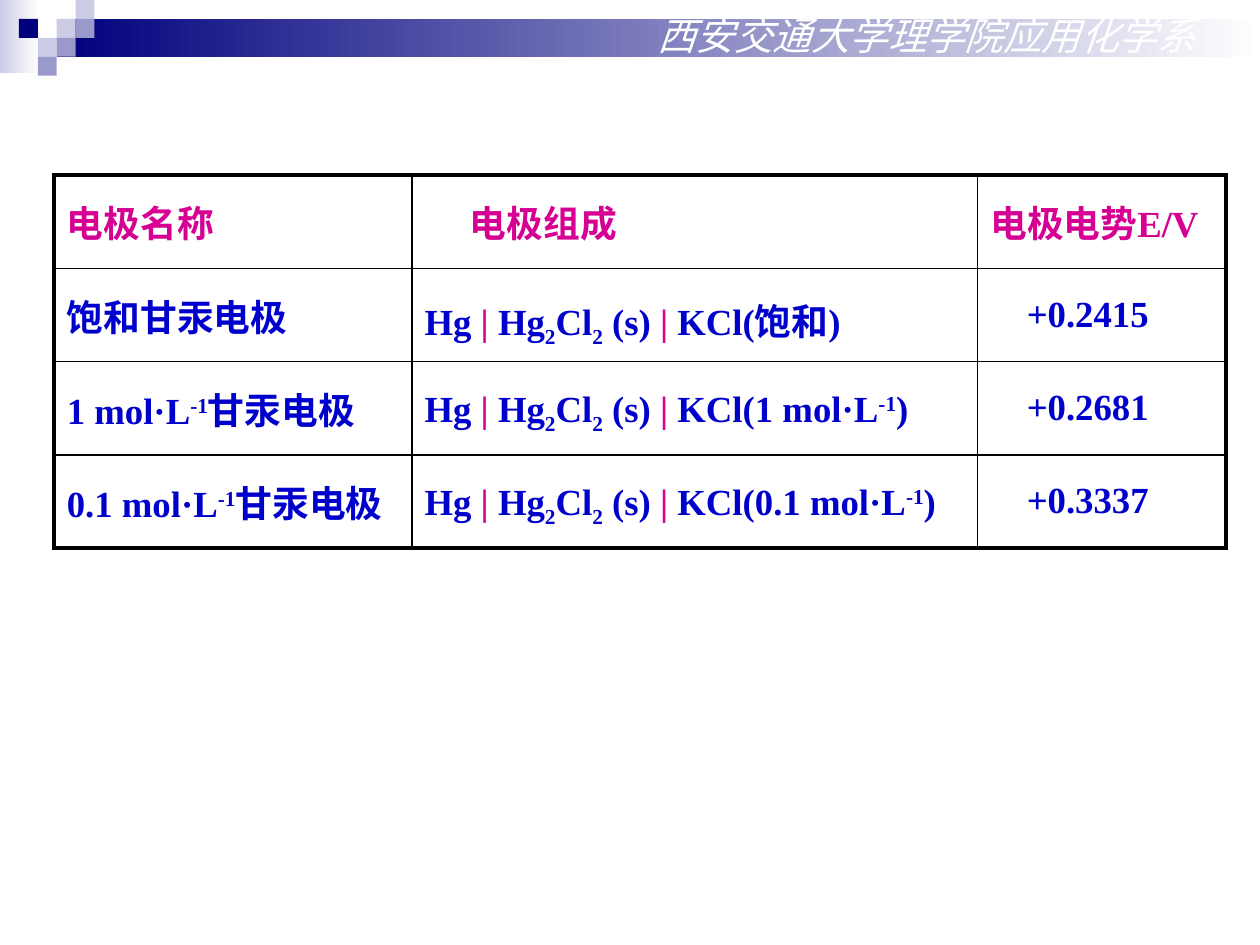
from dataclasses import dataclass
from lxml import etree
from pptx import Presentation
from pptx.dml.color import RGBColor
from pptx.enum.shapes import MSO_SHAPE
from pptx.enum.text import MSO_ANCHOR
from pptx.oxml.ns import qn
from pptx.util import Inches, Pt

RECT = MSO_SHAPE.RECTANGLE
MIDDLE = MSO_ANCHOR.MIDDLE


@dataclass(frozen=True)
class Theme:
    """Colours, fonts and type sizes of the slide."""
    navy: str = "00007D"
    mid: str = "9999CC"
    pale: str = "CCCCE6"
    white: str = "FFFFFF"
    black: str = "000000"
    pink: str = "D60093"
    blue: str = "0000CC"
    serif: str = "Times New Roman"
    sans: str = "Arial"
    cell: int = 21
    banner: int = 22
    thin: float = 1
    thick: float = 2.25


THEME = Theme()
UNIT = 0.15
SQUARES = [
    (3, 1, THEME.pale), (4, 0, THEME.pale), (4, 1, THEME.mid),
    (2, 2, THEME.pale), (1, 1, THEME.navy), (3, 2, THEME.mid),
    (2, 3, THEME.mid),
]
WIDTHS = [2.84, 4.49, 1.97]
HEIGHT = 0.74
CELL = "Hg ~|~ Hg~_2~Cl~_2~ (s) ~|~ KCl"
ROWS = [
    ["电极名称", "电极组成", "电极电势E/V"],
    ["饱和甘汞电极", CELL + "(饱和)", "+0.2415"],
    ["1 mol·L~^-1~甘汞电极", CELL + "(1 mol·L~^-1~)", "+0.2681"],
    ["0.1 mol·L~^-1~甘汞电极", CELL + "(0.1 mol·L~^-1~)", "+0.3337"],
]
SHIFTS = {"_": "-25000", "^": "30000"}


def style(font, color, **form):
    """Set a font's colour and its other format values."""
    for name, value in form.items():
        setattr(font, name, value)
    font.color.rgb = RGBColor.from_string(color)


def add_rect(slide, box, *colors):
    """Add a borderless rectangle with a plain or gradient fill."""
    shape = slide.shapes.add_shape(RECT, *map(Inches, box))
    shape.shadow.inherit = False
    shape.line.fill.background()
    if len(colors) == 1:
        shape.fill.solid()
        shape.fill.fore_color.rgb = RGBColor.from_string(colors[0])
        return
    shape.fill.gradient()
    shape.fill.gradient_angle = 0
    for stop, color in zip(shape.fill.gradient_stops, colors):
        stop.color.rgb = RGBColor.from_string(color)


def add_banner(slide):
    """Add the gradient bands, the squares and the department name."""
    add_rect(slide, (0, 0, 0.31, 0.58), THEME.pale, THEME.white)
    add_rect(slide, (0.45, UNIT, 9.55, 2 * UNIT), THEME.navy, THEME.white)
    for col, row, color in SQUARES:
        add_rect(slide, (col * UNIT, row * UNIT, UNIT, UNIT), color)
    box = slide.shapes.add_textbox(*map(Inches, (5.12, 0.05, 4.88, 0.47)))
    box.text_frame.word_wrap = True
    run = box.text_frame.paragraphs[0].add_run()
    run.text = "西安交通大学理学院应用化学系"
    style(run.font, THEME.white, name=THEME.sans, size=Pt(THEME.banner),
          italic=True)


def add_runs(para, text, color):
    """Write marked text: _ lowers, ^ raises, a bar turns pink."""
    for part in text.split("~"):
        run = para.add_run()
        run.text = part.lstrip("_^")
        style(run.font, THEME.pink if part == "|" else color,
              name=THEME.serif, size=Pt(THEME.cell), bold=True)
        if part[0] in SHIFTS:
            run.font._element.set("baseline", SHIFTS[part[0]])


def set_edges(cell, outer):
    """Draw the cell borders, thick on the table's outer sides."""
    props = cell._tc.get_or_add_tcPr()
    for side in "LRTB":
        width = THEME.thick if side in outer else THEME.thin
        line = etree.SubElement(props, qn(f"a:ln{side}"), w=str(Pt(width)))
        fill = etree.SubElement(line, qn("a:solidFill"))
        etree.SubElement(fill, qn("a:srgbClr"), val=THEME.black)
    cell.fill.background()


def add_grid(slide):
    """Add the table of electrodes and their potentials."""
    last, end = len(ROWS) - 1, len(WIDTHS) - 1
    box = (0.43, 1.39, sum(WIDTHS), HEIGHT * len(ROWS))
    table = slide.shapes.add_table(
        len(ROWS), len(WIDTHS), *map(Inches, box)).table
    table.first_row = table.horz_banding = False
    for col, width in zip(table.columns, WIDTHS):
        col.width = Inches(width)
    for r, row in enumerate(ROWS):
        for c, text in enumerate(row):
            cell = table.cell(r, c)
            cell.vertical_anchor = MIDDLE
            sides = {"L": c == 0, "R": c == end, "T": r == 0, "B": r == last}
            set_edges(cell, [side for side, on in sides.items() if on])
            para = cell.text_frame.paragraphs[0]
            if r and c == 1:
                para.line_spacing = 1.2
            if r == 0 and c == 1:
                cell.margin_left = Inches(0.46)
            if r and c == end:
                cell.margin_left = Inches(0.39)
            add_runs(para, text, THEME.blue if r else THEME.pink)


def main():
    """Build the slide and save it."""
    deck = Presentation()
    deck.slide_width, deck.slide_height = Inches(10), Inches(7.5)
    slide = deck.slides.add_slide(deck.slide_layouts[6])
    add_banner(slide)
    add_grid(slide)
    deck.save("out.pptx")


if __name__ == "__main__":
    main()
